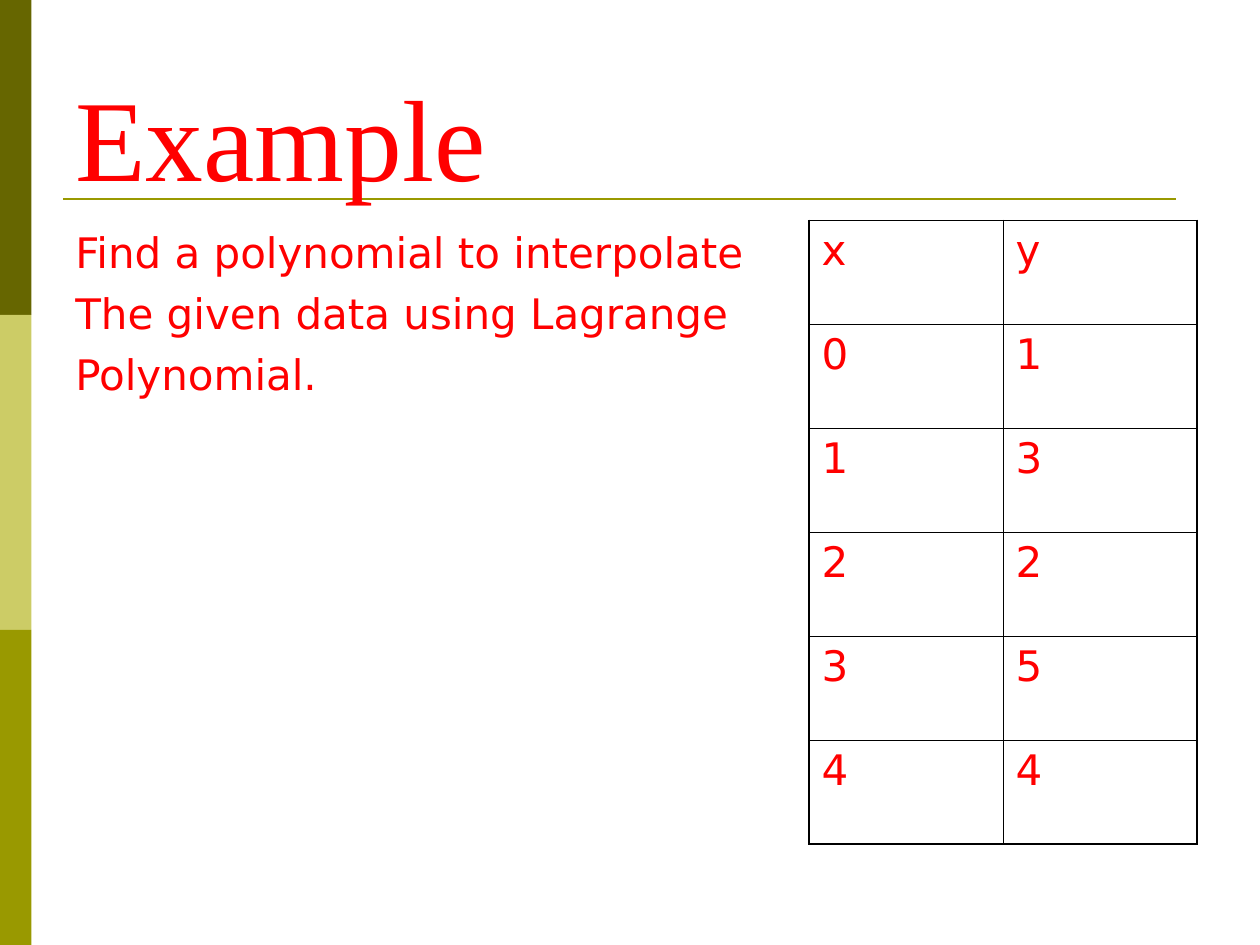
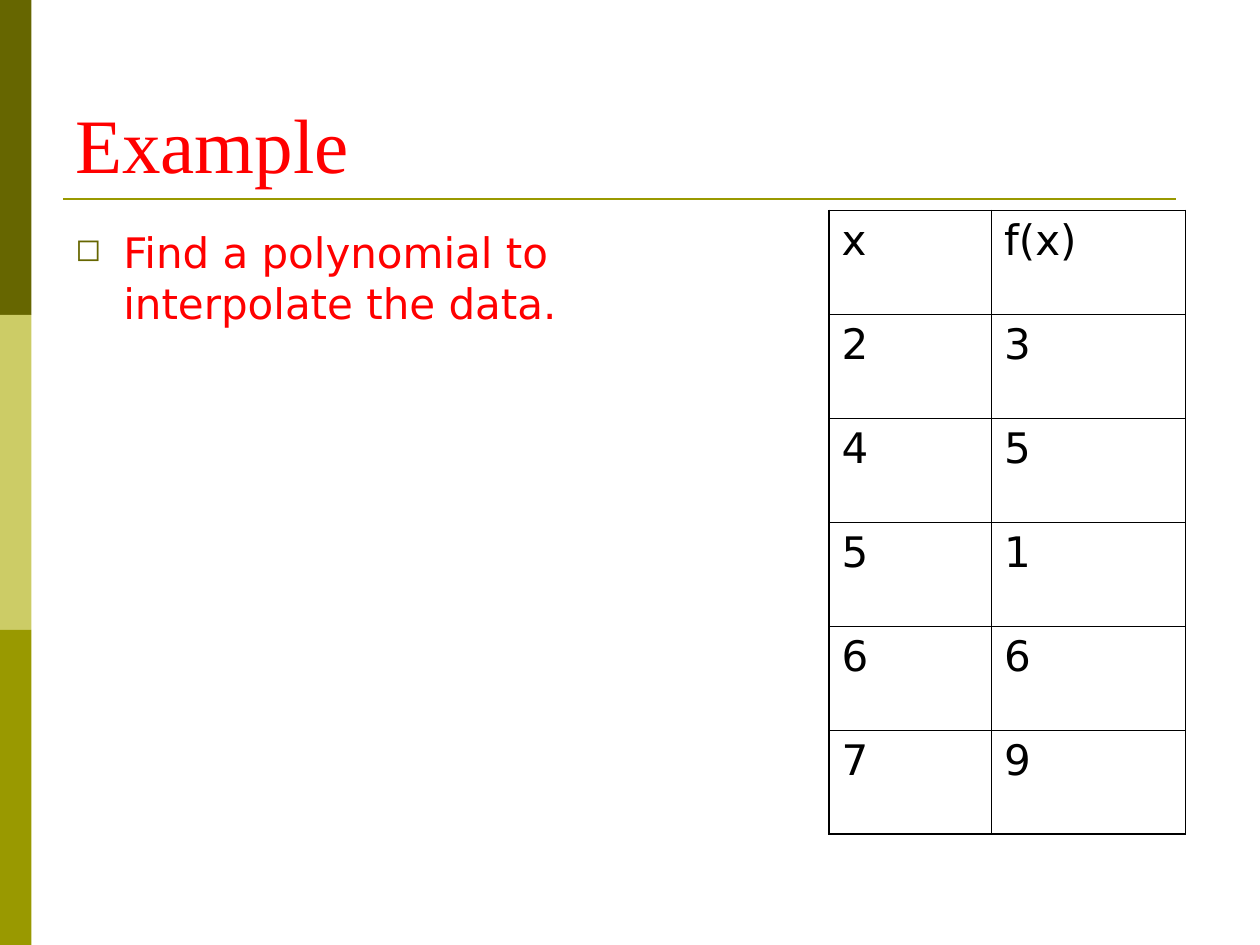
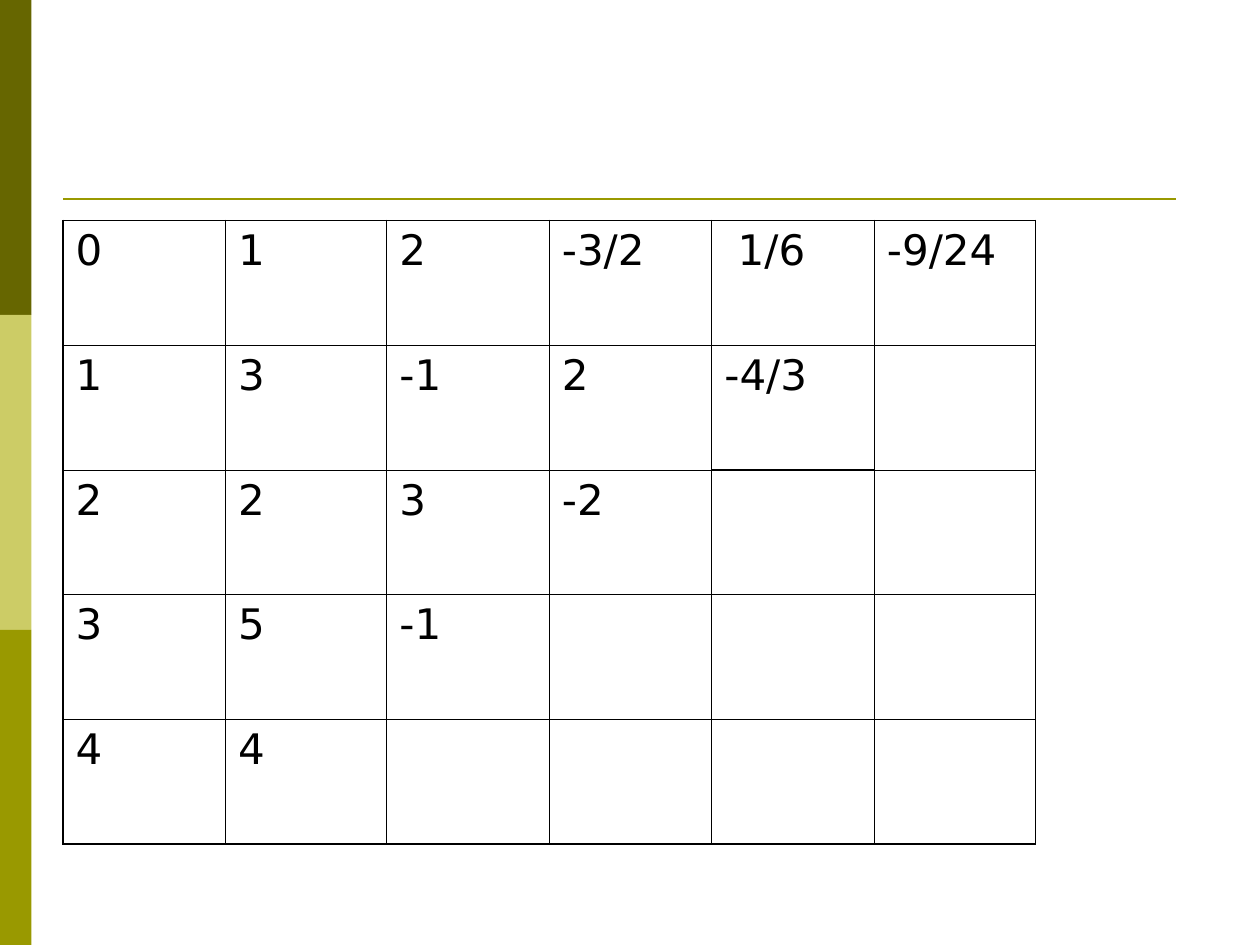
"""Build three slides on interpolation with tables of data."""

import lxml.etree
import pptx
import pptx.dml.color
import pptx.enum.shapes
import pptx.enum.text
import pptx.oxml.ns
import pptx.util

Inches = pptx.util.Inches
Pt = pptx.util.Pt
RGBColor = pptx.dml.color.RGBColor
qn = pptx.oxml.ns.qn

RED = RGBColor(0xFF, 0x00, 0x00)
BLACK = RGBColor(0x00, 0x00, 0x00)
DARK = RGBColor(0x66, 0x66, 0x00)
PALE = RGBColor(0xCC, 0xCC, 0x66)
OLIVE = RGBColor(0x99, 0x99, 0x00)
SERIF = "Times New Roman"
SANS = "DejaVu Sans"
THIN = Pt(0.45)
THICK = Pt(1.08)


def add_node(parent, tag, **attrs):
    return lxml.etree.SubElement(parent, qn(tag), **attrs)


class Deck:
    def __init__(self):
        self.prs = pptx.Presentation()
        self.prs.slide_width = Inches(10)
        self.prs.slide_height = Inches(7.5)
        self.slide = None

    def start(self):
        self.slide = self.prs.slides.add_slide(self.prs.slide_layouts[6])
        for row, color in enumerate((DARK, PALE, OLIVE)):
            self.band(2.5 * row, color)
        self.rule()

    def band(self, top, color):
        band = self.slide.shapes.add_shape(
            pptx.enum.shapes.MSO_SHAPE.RECTANGLE,
            Inches(0), Inches(top), Inches(0.25), Inches(2.5))
        band.shadow.inherit = False
        band.fill.solid()
        band.fill.fore_color.rgb = color
        band.line.fill.background()

    def rule(self):
        rule = self.slide.shapes.add_connector(
            pptx.enum.shapes.MSO_CONNECTOR.STRAIGHT,
            Inches(0.5), Inches(1.58), Inches(9.33), Inches(1.58))
        rule.line.color.rgb = OLIVE
        rule.line.width = Pt(1.5)
        add_node(rule._element.spPr, "a:effectLst")

    def put_run(self, para, text, size, font, color):
        run = para.add_run()
        run.text = text
        run.font.size = Pt(size)
        run.font.name = font
        run.font.color.rgb = color

    def box(self, left, top, width, height):
        box = self.slide.shapes.add_textbox(
            Inches(left), Inches(top), Inches(width), Inches(height))
        box.text_frame.word_wrap = True
        return box.text_frame

    def title(self, text, top, size):
        frame = self.box(0.5, top, 9, 1.25)
        frame.vertical_anchor = pptx.enum.text.MSO_ANCHOR.BOTTOM
        self.put_run(frame.paragraphs[0], text, size, SERIF, RED)

    def body(self, lines, width, bullet=False):
        frame = self.box(0.5, 1.75, width, 4.95)
        for place, text in enumerate(lines):
            para = frame.add_paragraph() if place else frame.paragraphs[0]
            if place:
                para.space_before = Pt(6)
            props = para._p.get_or_add_pPr()
            props.set("marL", str(Inches(0.38)))
            props.set("indent", str(-Inches(0.38)))
            if bullet:
                tint = add_node(props, "a:buClr")
                add_node(tint, "a:srgbClr", val=str(DARK))
                add_node(props, "a:buSzPct", val="75000")
                add_node(props, "a:buChar", char="◻")
            self.put_run(para, text, 24, SANS, RED)

    def edges(self, cell, thick):
        props = cell._tc.get_or_add_tcPr()
        for side in "LRTB":
            width = THICK if side in thick else THIN
            line = add_node(props, "a:ln" + side, w=str(width))
            fill = add_node(line, "a:solidFill")
            add_node(fill, "a:srgbClr", val=str(BLACK))

    def table(self, left, top, widths, rows, color, steps=()):
        high = Inches(4.95)
        table = self.slide.shapes.add_table(
            len(rows), len(widths), Inches(left), Inches(top),
            Inches(sum(widths)), high).table
        table.first_row = table.horz_banding = False
        for col, width in zip(table.columns, widths):
            col.width = Inches(width)
        for r, texts in enumerate(rows):
            table.rows[r].height = high // len(rows)
            for c in range(len(widths)):
                cell = table.cell(r, c)
                thick = {
                    "L": c == 0,
                    "R": c == len(widths) - 1,
                    "T": r == 0 or (r - 1, c) in steps,
                    "B": r == len(rows) - 1 or (r, c) in steps,
                }
                self.edges(cell, [side for side in thick if thick[side]])
                cell.fill.background()
                if c < len(texts):
                    para = cell.text_frame.paragraphs[0]
                    self.put_run(para, texts[c], 24, SANS, color)


def main():
    deck = Deck()

    deck.start()
    deck.title("Example", 0.42, 66)
    deck.body(["Find a polynomial to interpolate",
               "The given data using Lagrange",
               "Polynomial."], 5.83)
    deck.table(6.42, 1.75, [1.54, 1.54],
               ["xy", "01", "13", "22", "35", "44"], RED)

    deck.start()
    deck.title("Example", 0.3, 44)
    deck.body(["Find a polynomial to interpolate the data."], 4.42, bullet=True)
    deck.table(6.58, 1.67, [1.29, 1.54],
               [["x", "f(x)"], "23", "45", "51", "66", "79"], BLACK)

    deck.start()
    deck.table(0.5, 1.75, [1.29, 1.28, 1.29, 1.29, 1.29, 1.28], [
        ["0", "1", "2", "-3/2", " 1/6", "-9/24"],
        ["1", "3", "-1", "2", "-4/3"],
        ["2", "2", "3", "-2"],
        ["3", "5", "-1"],
        ["4", "4"],
    ], BLACK, steps=[(r, 5 - r) for r in (1, 2, 3)])

    deck.prs.save("out.pptx")


if __name__ == "__main__":
    main()
